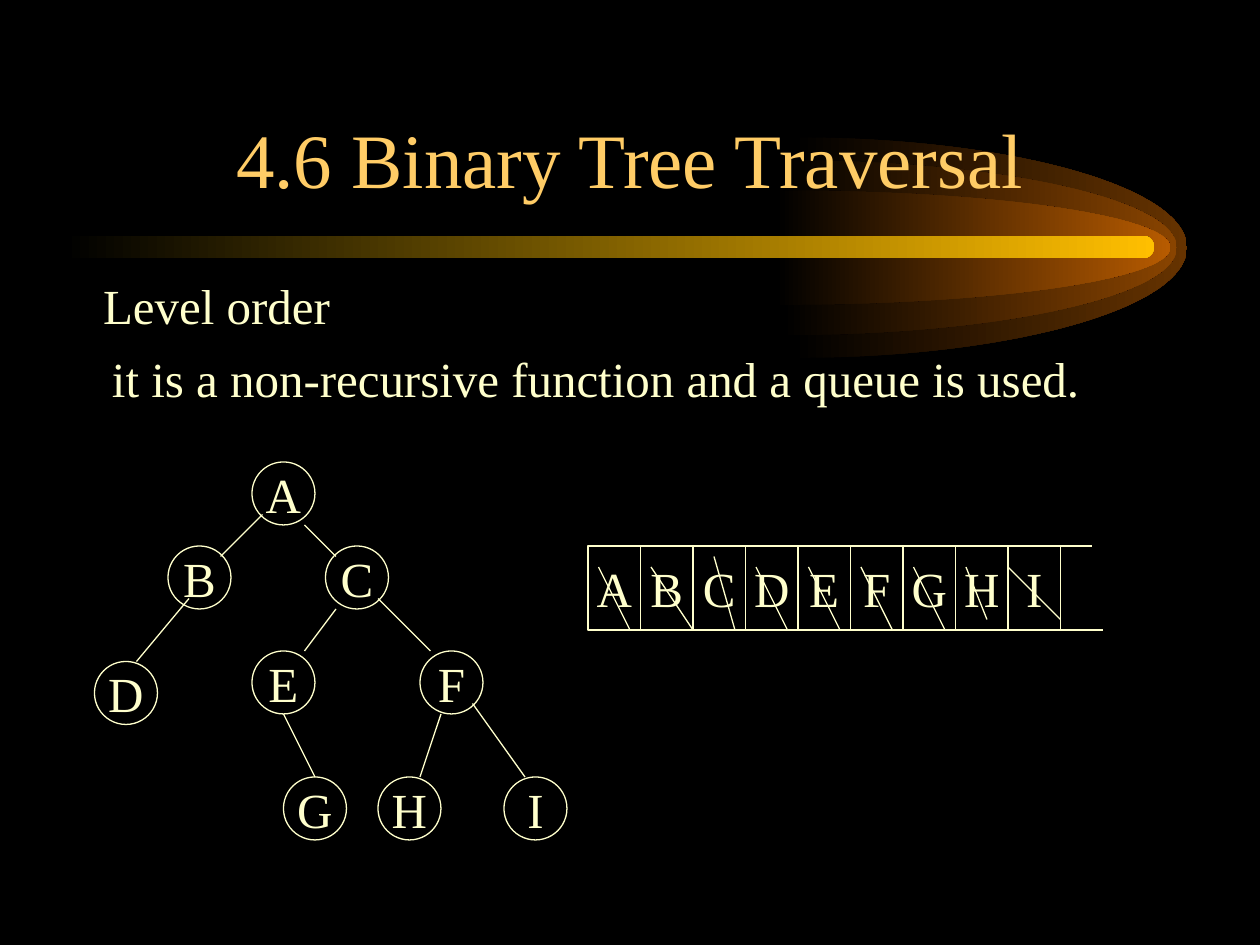
from lxml.etree import SubElement
from pptx import Presentation
from pptx.dml.color import RGBColor
from pptx.enum.shapes import MSO_CONNECTOR, MSO_SHAPE
from pptx.enum.text import MSO_ANCHOR, PP_ALIGN
from pptx.oxml.ns import qn
from pptx.util import Inches, Pt

TITLE = "4.6 Binary Tree Traversal"
BODY = [("Level order", 0.22, 0), ("it is a non-recursive function and a queue is used.", 0.29, 7.8)]
FONT, BLACK, GOLD, CREAM = "Times New Roman", "000000", "FFCC66", "FFFFCC"
COMETS = [(6.29, 1.09, 1.75, "663300"), (6.21, 1.27, 1.39, "894400"), (6.16, 1.51, 0.91, "B75B00")]
COMET_W, BEZIER = 3.13, 0.55

UNIT = 1 / 12
NODE = 6
NODES = {"A": (24, 44), "B": (16, 52), "C": (31, 52), "D": (9, 63), "E": (24, 62),
         "F": (40, 62), "I": (48, 74), "H": (36, 74), "G": (27, 74)}
EDGES = [(25, 49, 21, 53), (18, 57, 13, 63), (29, 50, 32, 53), (32, 58, 29, 62),
         (36, 57, 41, 62), (27, 68, 30, 74), (42, 68, 40, 74), (45, 67, 50, 74)]

QUEUE = "ABCDEFGHI"
STACKING = "ABCDEGFIH"
QUEUE_X, QUEUE_Y, CELL_W, CELL_H = 56, 52, 5, 8
STRIKE = (1, 2, 4, 8)
ODD_STRIKES = {"B": (1, 2, 5, 8), "C": (2, 1, 4, 8), "H": (1, 2, 3, 7), "I": (0, 2, 5, 7)}
RAILS = [(0, 48), (CELL_H, 49)]


def rgb(value):
    return RGBColor.from_string(value)


def grid(*units):
    return [Inches(u * UNIT) for u in units]


def style(p, size, color):
    p.font.name, p.font.size, p.font.color.rgb = FONT, Pt(size), rgb(color)


def fade(shape, color):
    shape.shadow.inherit = False
    shape.line.fill.background()
    shape.fill.gradient()
    shape.fill.gradient_angle = 0
    for stop, value, position in zip(shape.fill.gradient_stops, (BLACK, color), (0, 1)):
        stop.color.rgb, stop.position = rgb(value), position


def add_comet(shapes, left, top, height, color):
    w, h = Inches(COMET_W), Inches(height)
    r = h // 2
    builder = shapes.build_freeform(Inches(left), Inches(top), scale=1.0)
    builder.add_line_segments([(Inches(left) + w, Inches(top) + r), (Inches(left), Inches(top) + h)], close=True)
    shape = builder.convert_to_shape()
    dx, dy = int(w * BEZIER), int(r * BEZIER)
    curves = [[(dx, 0), (w, r - dy), (w, r)], [(w, r + dy), (dx, h), (0, h)]]
    for segment, points in zip(list(shape._element.iter(qn("a:lnTo"))), curves):
        curve = segment.makeelement(qn("a:cubicBezTo"))
        for x, y in points:
            SubElement(curve, qn("a:pt"), x=str(x), y=str(y))
        segment.getparent().replace(segment, curve)
    fade(shape, color)


def add_letter(shapes, kind, letter, *box):
    sp = shapes.add_shape(kind, *grid(*box))
    sp.shadow.inherit = False
    sp.fill.background()
    sp.line.color.rgb, sp.line.width = rgb(CREAM), Pt(0.75)
    tf = sp.text_frame
    tf.text, tf.word_wrap, tf.vertical_anchor = letter, False, MSO_ANCHOR.MIDDLE
    tf.paragraphs[0].alignment = PP_ALIGN.CENTER
    style(tf.paragraphs[0], 28, CREAM)


def add_line(shapes, *ends):
    line = shapes.add_connector(MSO_CONNECTOR.STRAIGHT, *grid(*ends))
    line.line.color.rgb, line.line.width = rgb(CREAM), Pt(0.75)
    SubElement(line._element.spPr, qn("a:effectLst"))


def add_heading(s):
    title = s.shapes.title
    title.left, title.top, title.width, title.height = map(Inches, (0.75, 0.42, 8.5, 1.25))
    tf = title.text_frame
    tf.text, tf.vertical_anchor = TITLE, MSO_ANCHOR.BOTTOM
    tf.paragraphs[0].alignment = PP_ALIGN.CENTER
    style(tf.paragraphs[0], 44, GOLD)
    s.shapes._spTree.append(title._element)


def add_body(s):
    tf = s.shapes.add_textbox(*map(Inches, (0.5, 2.14, 8.75, 5.02))).text_frame
    tf.word_wrap = True
    for i, (text, indent, before) in enumerate(BODY):
        p = tf.add_paragraph() if i else tf.paragraphs[0]
        p.text = text
        p._p.get_or_add_pPr().set("marL", str(Inches(indent)))
        if before:
            p.space_before = Pt(before)
        style(p, 28, CREAM)


def add_tree(s):
    shapes = s.shapes.add_group_shape().shapes
    for letter, (x, y) in NODES.items():
        add_letter(shapes, MSO_SHAPE.OVAL, letter, x, y, NODE, NODE)
    for edge in EDGES:
        add_line(shapes, *edge)


def add_queue(s):
    shapes = s.shapes.add_group_shape().shapes
    lefts = {letter: QUEUE_X + CELL_W * i for i, letter in enumerate(QUEUE)}
    for letter in STACKING:
        add_letter(shapes, MSO_SHAPE.RECTANGLE, letter, lefts[letter], QUEUE_Y, CELL_W, CELL_H)
    for dy, length in RAILS:
        add_line(shapes, QUEUE_X, QUEUE_Y + dy, QUEUE_X + length, QUEUE_Y + dy)
    for letter, x in lefts.items():
        x1, y1, x2, y2 = ODD_STRIKES.get(letter, STRIKE)
        add_line(shapes, x + x1, QUEUE_Y + y1, x + x2, QUEUE_Y + y2)


def main():
    """Build the level-order traversal slide with its tree and queue."""
    prs = Presentation()
    prs.slide_width, prs.slide_height = Inches(10), Inches(7.5)
    s = prs.slides.add_slide(prs.slide_layouts[5])
    s.background.fill.solid()
    s.background.fill.fore_color.rgb = rgb(BLACK)
    for comet in COMETS:
        add_comet(s.shapes, *comet)
    bar = s.shapes.add_shape(MSO_SHAPE.ROUNDED_RECTANGLE, *map(Inches, (0.5, 1.87, 8.66, 0.18)))
    bar.adjustments[0] = 0.5
    fade(bar, "FFBF00")
    add_heading(s)
    add_body(s)
    add_tree(s)
    add_queue(s)
    prs.save("out.pptx")


if __name__ == "__main__":
    main()
